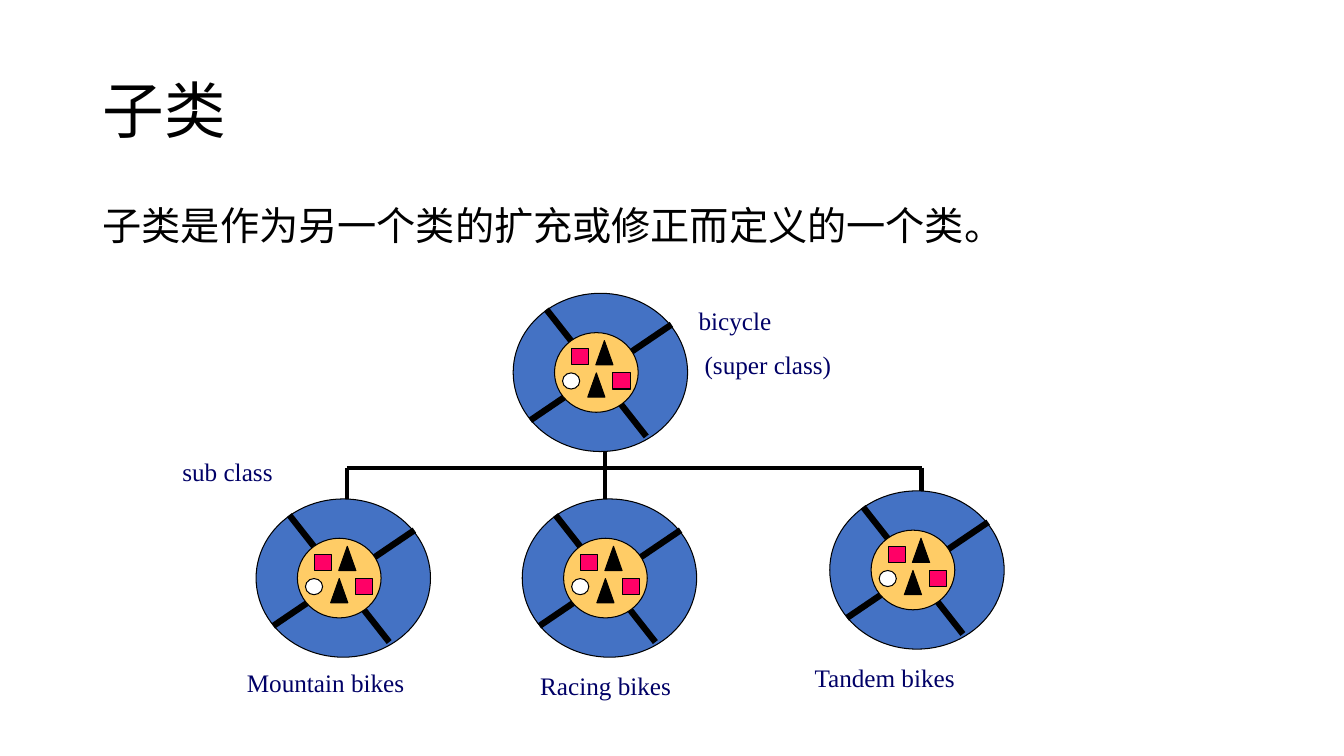
import pptx
import pptx.util
import pptx.dml.color
import pptx.enum.shapes
import pptx.enum.text
import pptx.oxml.ns
import lxml.etree

Inches = pptx.util.Inches
Pt = pptx.util.Pt
RGBColor = pptx.dml.color.RGBColor
SHAPE = pptx.enum.shapes.MSO_SHAPE
ANCHOR = pptx.enum.text.MSO_ANCHOR

BLACK = RGBColor(0x00, 0x00, 0x00)
WHITE = RGBColor(0xFF, 0xFF, 0xFF)
BLUE = RGBColor(0x44, 0x72, 0xC4)
GOLD = RGBColor(0xFF, 0xCC, 0x66)
PINK = RGBColor(0xFF, 0x00, 0x66)
NAVY = RGBColor(0x00, 0x00, 0x66)

SERIF = "Times New Roman"
BODY_FONT = "Karla"

WHEELS = [(8.23, 4.87), (5.18, 4.95), (2.54, 4.95), (5.09, 2.91)]

SPOKES = [
    (0.17, 1.26, 1.57, 0.31),
    (0.33, 0.16, 1.32, 1.42),
]

HUB_PARTS = [
    (SHAPE.OVAL, 0.41, 0.39, 0.83, 0.79, GOLD),
    (SHAPE.RECTANGLE, 0.58, 0.55, 0.17, 0.16, PINK),
    (SHAPE.ISOSCELES_TRIANGLE, 0.74, 0.79, 0.17, 0.24, BLACK),
    (SHAPE.ISOSCELES_TRIANGLE, 0.82, 0.47, 0.17, 0.24, BLACK),
    (SHAPE.RECTANGLE, 0.99, 0.79, 0.17, 0.16, PINK),
    (SHAPE.OVAL, 0.49, 0.79, 0.17, 0.16, WHITE),
]

BRANCHES = [
    (3.44, 4.64, 9.14, 4.64),
    (6, 4.48, 6, 4.95),
    (3.44, 4.64, 3.44, 4.95),
    (9.14, 4.64, 9.14, 4.87),
]

LABELS = [
    ("bicycle", 6.83, 2.98, 1.18),
    ("(super class)", 6.89, 3.42, 1.97),
    ("Mountain bikes", 2.35, 6.57, 2.43),
    ("Racing bikes", 5.26, 6.6, 2.03),
    ("Tandem bikes", 7.98, 6.52, 2.21),
    ("sub class", 1.71, 4.48, 1.45),
]


def add_text(page, text, left, top, width, height, size, font, color):
    box = page.shapes.add_textbox(
        Inches(left), Inches(top), Inches(width), Inches(height)
    )
    box.text_frame.word_wrap = True
    para = box.text_frame.paragraphs[0]
    span = para.add_run()
    span.text = text
    span.font.size = Pt(size)
    span.font.name = font
    span.font.color.rgb = color
    return box


def add_part(shapes, kind, left, top, width, height, fill):
    part = shapes.add_shape(
        kind, Inches(left), Inches(top), Inches(width), Inches(height)
    )
    part.shadow.inherit = False
    part.fill.solid()
    part.fill.fore_color.rgb = fill
    part.line.color.rgb = BLACK
    part.line.width = Pt(0.75)


def add_line(shapes, start_x, start_y, end_x, end_y, weight):
    line = shapes.add_connector(
        pptx.enum.shapes.MSO_CONNECTOR.STRAIGHT,
        Inches(start_x), Inches(start_y), Inches(end_x), Inches(end_y),
    )
    line.line.color.rgb = BLACK
    line.line.width = Pt(weight)
    lxml.etree.SubElement(
        line._element.spPr, pptx.oxml.ns.qn("a:effectLst")
    )


def add_wheel(page, left, top):
    shapes = page.shapes.add_group_shape().shapes
    add_part(shapes, SHAPE.OVAL, left, top, 1.73, 1.57, BLUE)
    for start_x, start_y, end_x, end_y in SPOKES:
        add_line(shapes, left + start_x, top + start_y,
                 left + end_x, top + end_y, 4.5)
    for kind, x, y, width, height, fill in HUB_PARTS:
        add_part(shapes, kind, left + x, top + y, width, height, fill)


def main():
    deck = pptx.Presentation()
    deck.slide_width = Inches(13.33)
    deck.slide_height = Inches(7.5)
    page = deck.slides.add_slide(deck.slide_layouts[6])

    title = add_text(page, "子类", 0.92, 0.4, 11.5, 1.45, 44, SERIF, BLACK)
    title.text_frame.vertical_anchor = ANCHOR.MIDDLE
    title.text_frame.paragraphs[0].line_spacing = 0.9

    body = add_text(page, "子类是作为另一个类的扩充或修正而定义的一个类。",
                    0.92, 2, 11.5, 4.76, 28, BODY_FONT, BLACK)
    body.text_frame.paragraphs[0].line_spacing = 0.9

    for left, top in WHEELS:
        add_wheel(page, left, top)
    for branch in BRANCHES:
        add_line(page.shapes, *branch, 3)
    for text, left, top, width in LABELS:
        add_text(page, text, left, top, width, 0.5, 18, SERIF, NAVY)

    deck.save("out.pptx")


if __name__ == "__main__":
    main()
